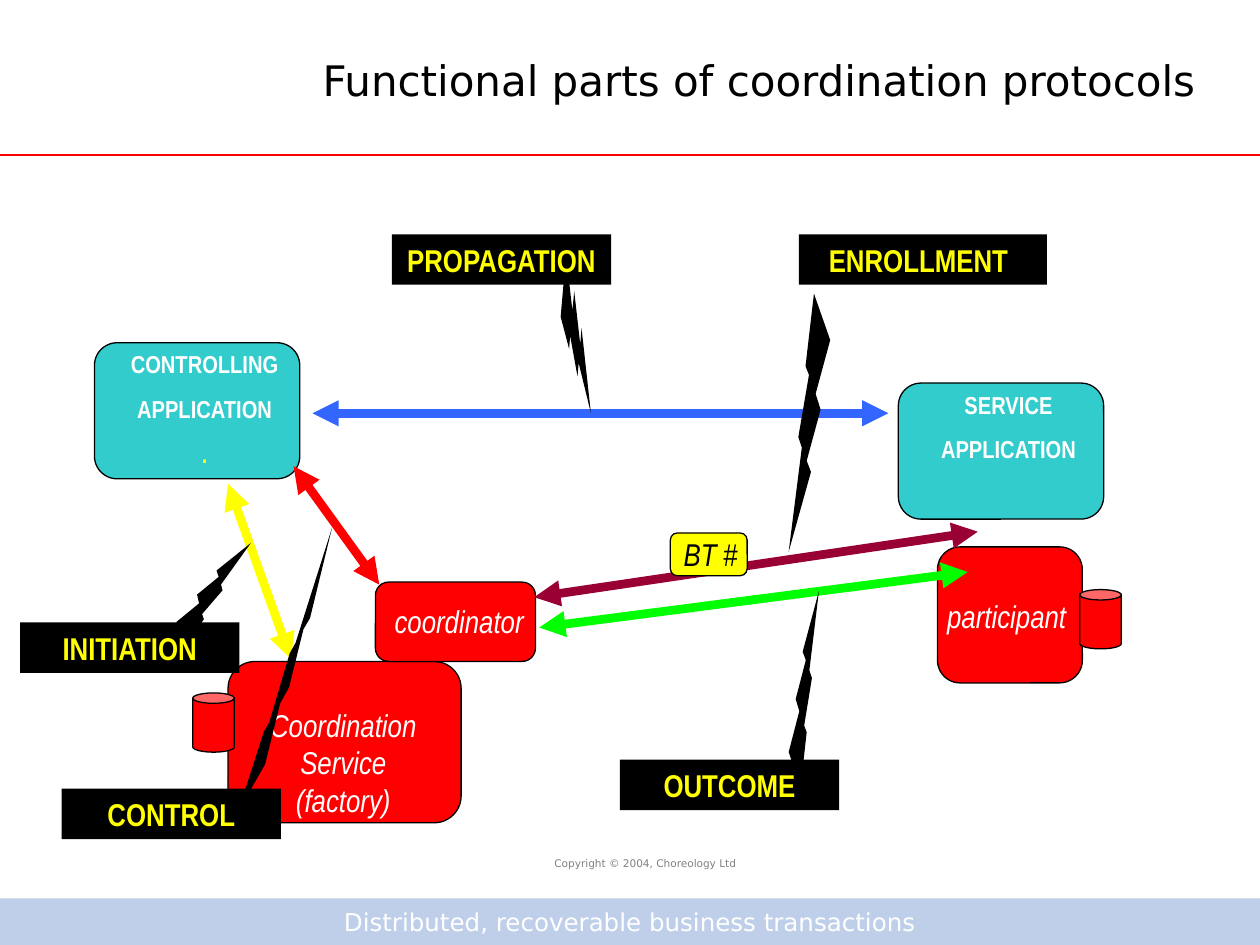
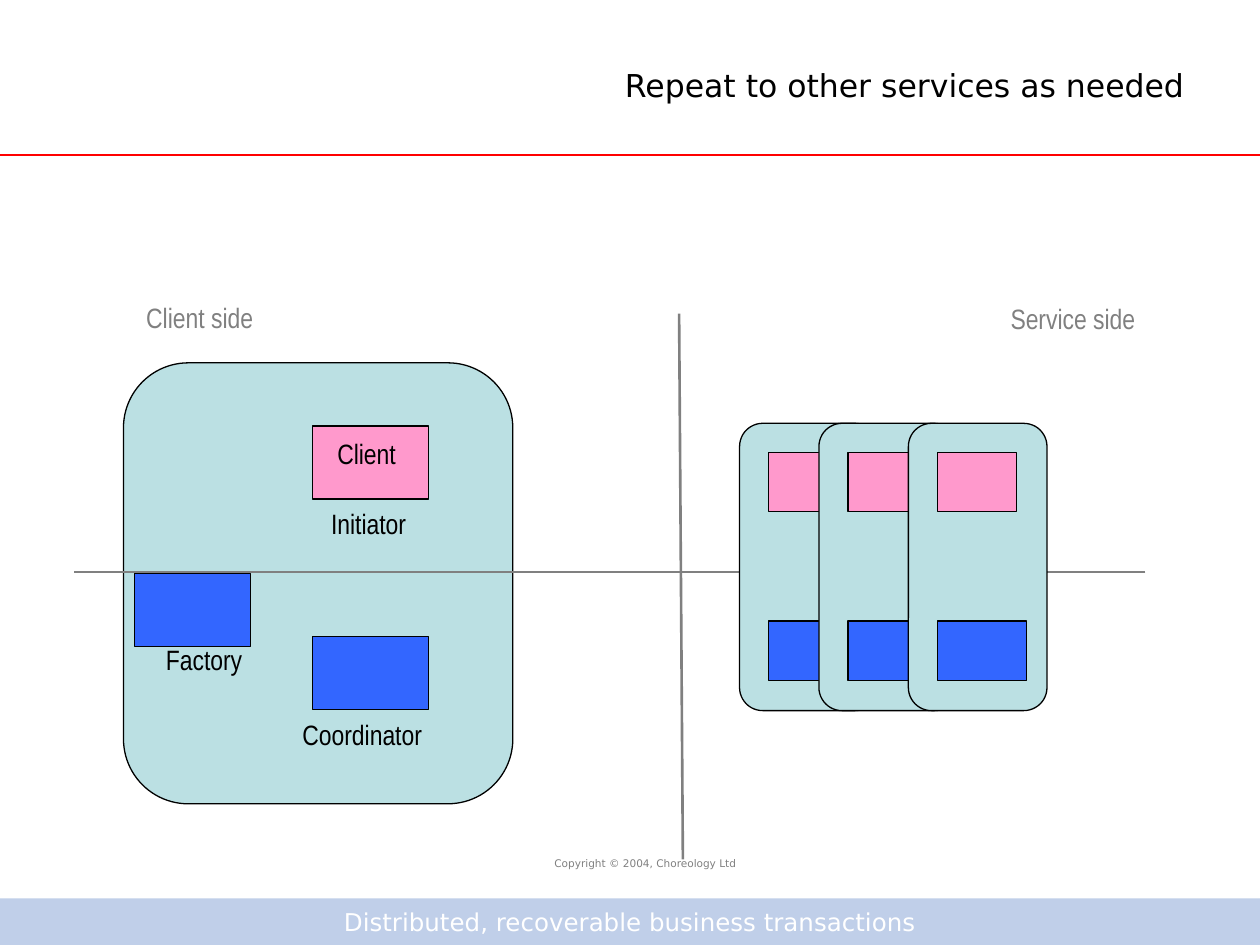
from lxml import etree
from pptx import Presentation
from pptx.dml.color import RGBColor
from pptx.enum import shapes, text
from pptx.oxml import ns
from pptx.util import Inches, Pt

COLORS = {
    "black": "000000", "white": "FFFFFF", "gray": "808080", "band": "C0CFE9",
    "red": "FF0000", "teal": "33CCCC", "yellow": "FFFF00", "green": "00FF00",
    "blue": "3366FF", "maroon": "990033", "pink": "FF99CC", "panel": "BBE0E3",
}
SANS, NARROW = "DejaVu Sans", "Arial Narrow"
SHAPE, ANCHOR, ALIGN = shapes.MSO_SHAPE, text.MSO_ANCHOR, text.PP_ALIGN

FOOTER = "Distributed, recoverable business transactions"
COPYRIGHT = "Copyright © 2004, Choreology Ltd"

APP_STYLE = dict(size=14, bold=True, color="white", before=8.8,
                 anchor=ANCHOR.TOP, insets=(0.12, 0, 0, 0))
ROLE_STYLE = dict(size=18, italic=True, color="white")
TAG_STYLE = dict(size=18, bold=True, color="yellow")
TOKEN_STYLE = dict(size=18, italic=True, color="black", insets=(0.03, 0, 0, 0.01))

NODES = [
    ((0.75, 2.72, 1.63, 1.08), "teal", "CONTROLLING\nAPPLICATION\n.", APP_STYLE),
    ((7.13, 3.04, 1.63, 1.08), "teal", "SERVICE\nAPPLICATION", APP_STYLE),
    ((1.81, 5.25, 1.85, 1.28), "red", "Coordination\nService\n(factory)",
     dict(ROLE_STYLE, insets=(0, 0.32, 0.02, 0))),
    ((7.44, 4.34, 1.15, 1.08), "red", "participant",
     dict(ROLE_STYLE, insets=(0, 0.01, 0.05, 0))),
    ((2.98, 4.62, 1.27, 0.63), "red", "coordinator",
     dict(ROLE_STYLE, insets=(0.06, 0, 0, 0.02))),
]
TOKEN = ((5.32, 4.23, 0.61, 0.34), "yellow", "BT #", TOKEN_STYLE)
STORES = [(1.53, 5.5), (8.57, 4.68)]
ARROWS = [
    ((7.68, 4.54), (4.28, 4.98), "green"),
    ((1.81, 3.84), (2.31, 5.23), "yellow"),
    ((2.48, 3.28), (7.05, 3.28), "blue"),
    ((7.76, 4.22), (4.24, 4.74), "maroon"),
    ((2.33, 3.7), (3.01, 4.64), "red"),
]
BOLTS = [
    ((1.5, 4.22, 0.33, 0.97), 20.8, "V"),
    ((3.94, 2.53, 1.26, 0.24), 270, "H"),
    ((6.26, 4.69, 0.24, 1.56), 0, "V"),
    ((6.26, 2.33, 0.33, 2.05), 0, "H"),
    ((2.21, 4.14, 0.17, 2.37), 20.8, "HV"),
]
TAG_HEIGHT = 0.4
TAGS = [
    ("CONTROL", 0.49, 6.26, 1.74, 0.1),
    ("OUTCOME", 4.92, 6.03, 1.74, 0.1),
    ("PROPAGATION", 3.11, 1.86, 1.74, 0.1),
    ("ENROLLMENT", 6.34, 1.86, 1.97, 0.17),
    ("INITIATION", 0.16, 4.94, 1.74, 0.1),
]

CLIENT_PANEL = (0.98, 2.88, 3.09, 3.5)
CLIENT_PARTS = [(2.48, 3.38, "pink"), (2.48, 5.05, "blue"), (1.07, 4.55, "blue")]
PART_SIZE = (0.92, 0.58)
AXES = [((5.39, 2.49), (5.42, 6.82)), ((9.09, 4.54), (0.59, 4.54))]
CAPTIONS = [
    ("Client side", 1.06, 2.33, 1.05, "gray"),
    ("Service side", 7.92, 2.34, 1.19, "gray"),
    ("Client", 2.58, 3.41, 0.66, "black"),
    ("Initiator", 2.53, 3.97, 0.79, "black"),
    ("Coordinator", 2.3, 5.64, 1.15, "black"),
    ("Factory", 1.22, 5.05, 0.8, "black"),
]
SERVICE_LEFTS = [5.87, 6.5, 7.21]
SERVICE_TOP, SERVICE_SIZE = 3.36, (1.1, 2.28)
SERVICE_PARTS = [(0.23, 0.23, 0.63, 0.47, "pink"), (0.23, 1.57, 0.71, 0.47, "blue")]


def rgb(name):
    return RGBColor.from_string(COLORS[name])


def write(box, words, size, color, font=NARROW, bold=False, italic=False, before=0,
          align=ALIGN.CENTER, anchor=ANCHOR.MIDDLE, insets=(0.1, 0.05, 0.1, 0.05)):
    frame = box.text_frame
    frame.text = words
    frame.word_wrap = False
    frame.vertical_anchor = anchor
    (frame.margin_left, frame.margin_top,
     frame.margin_right, frame.margin_bottom) = map(Inches, insets)
    for index, para in enumerate(frame.paragraphs):
        para.alignment = align
        if index and before:
            para.space_before = Pt(before)
        for span in para.runs:
            span.font.name, span.font.size = font, Pt(size)
            span.font.bold, span.font.italic = bold, italic
            span.font.color.rgb = rgb(color)


def add_label(page, area, words, size, color, **style):
    box = page.shapes.add_textbox(*map(Inches, area))
    write(box, words, size, color, **style)


def add_block(page, kind, area, fill, outline=True):
    block = page.shapes.add_shape(kind, *map(Inches, area))
    block.shadow.inherit = False
    block.fill.solid()
    block.fill.fore_color.rgb = rgb(fill)
    if outline:
        block.line.color.rgb = rgb("black")
        block.line.width = Pt(0.75)
    else:
        block.line.fill.background()
    return block


def add_line(page, start, end, color, width=1.5, arrows=False):
    line = page.shapes.add_connector(shapes.MSO_CONNECTOR.STRAIGHT,
                                     *map(Inches, (*start, *end)))
    line.line.color.rgb = rgb(color)
    line.line.width = Pt(width)
    if arrows:
        for tip in ("a:headEnd", "a:tailEnd"):
            etree.SubElement(line.line._get_or_add_ln(), ns.qn(tip), type="triangle")
    etree.SubElement(line._element.spPr, ns.qn("a:effectLst"))


def add_node(page, area, fill, words, style):
    node = add_block(page, SHAPE.ROUNDED_RECTANGLE, area, fill)
    write(node, words, **style)
    return node


def add_bolt(page, area, angle, flips):
    bolt = add_block(page, SHAPE.LIGHTNING_BOLT, area, "black", outline=False)
    bolt.rotation = angle
    for axis in flips:
        bolt._element.spPr.xfrm.set("flip" + axis, "1")


def add_page(deck, title, area, size):
    page = deck.slides.add_slide(deck.slide_layouts[6])
    band = add_block(page, SHAPE.RECTANGLE, (0, 7.13, 10, 0.37), "band", outline=False)
    write(band, FOOTER, 14, "white", font=SANS)
    add_line(page, (0, 1.23), (10, 1.23), "red")
    add_label(page, (2.48, 6.75, 5.28, 0.2), COPYRIGHT, 6, "gray", font=SANS)
    add_label(page, area, title, size, "black", font=SANS, align=ALIGN.RIGHT)
    return page


def build_protocol_page(deck):
    page = add_page(deck, "Functional parts of coordination protocols",
                    (2.22, 0.28, 7.37, 0.7), 24)
    nodes = [add_node(page, *node) for node in NODES]
    dot = nodes[0].text_frame.paragraphs[-1].runs[0]
    dot.font.color.rgb = rgb("yellow")
    for left, top in STORES:
        add_block(page, SHAPE.CAN, (left, top, 0.33, 0.47), "red")
    for start, end, color in ARROWS:
        add_line(page, start, end, color, width=5, arrows=True)
    for bolt in BOLTS:
        add_bolt(page, *bolt)
    for words, left, top, width, right_inset in TAGS:
        tag = add_block(page, SHAPE.RECTANGLE, (left, top, width, TAG_HEIGHT),
                        "black", outline=False)
        write(tag, words, insets=(0.1, 0.05, right_inset, 0.05), **TAG_STYLE)
    add_node(page, *TOKEN)


def build_services_page(deck):
    page = add_page(deck, "Repeat to other services as needed",
                    (2.24, 0.37, 7.26, 0.61), 18)
    add_block(page, SHAPE.ROUNDED_RECTANGLE, CLIENT_PANEL, "panel")
    for start, end in AXES:
        add_line(page, start, end, "gray")
    for left, top, fill in CLIENT_PARTS:
        add_block(page, SHAPE.RECTANGLE, (left, top, *PART_SIZE), fill)
    for words, left, top, width, color in CAPTIONS:
        add_label(page, (left, top, width, 0.37), words, 16, color,
                  insets=(0, 0.05, 0, 0.05))
    for left in SERVICE_LEFTS:
        add_block(page, SHAPE.ROUNDED_RECTANGLE,
                  (left, SERVICE_TOP, *SERVICE_SIZE), "panel")
        for dx, dy, width, height, fill in SERVICE_PARTS:
            add_block(page, SHAPE.RECTANGLE,
                      (left + dx, SERVICE_TOP + dy, width, height), fill)


def main():
    deck = Presentation()
    deck.slide_width, deck.slide_height = Inches(10), Inches(7.5)
    build_protocol_page(deck)
    build_services_page(deck)
    deck.save("out.pptx")


if __name__ == "__main__":
    main()
